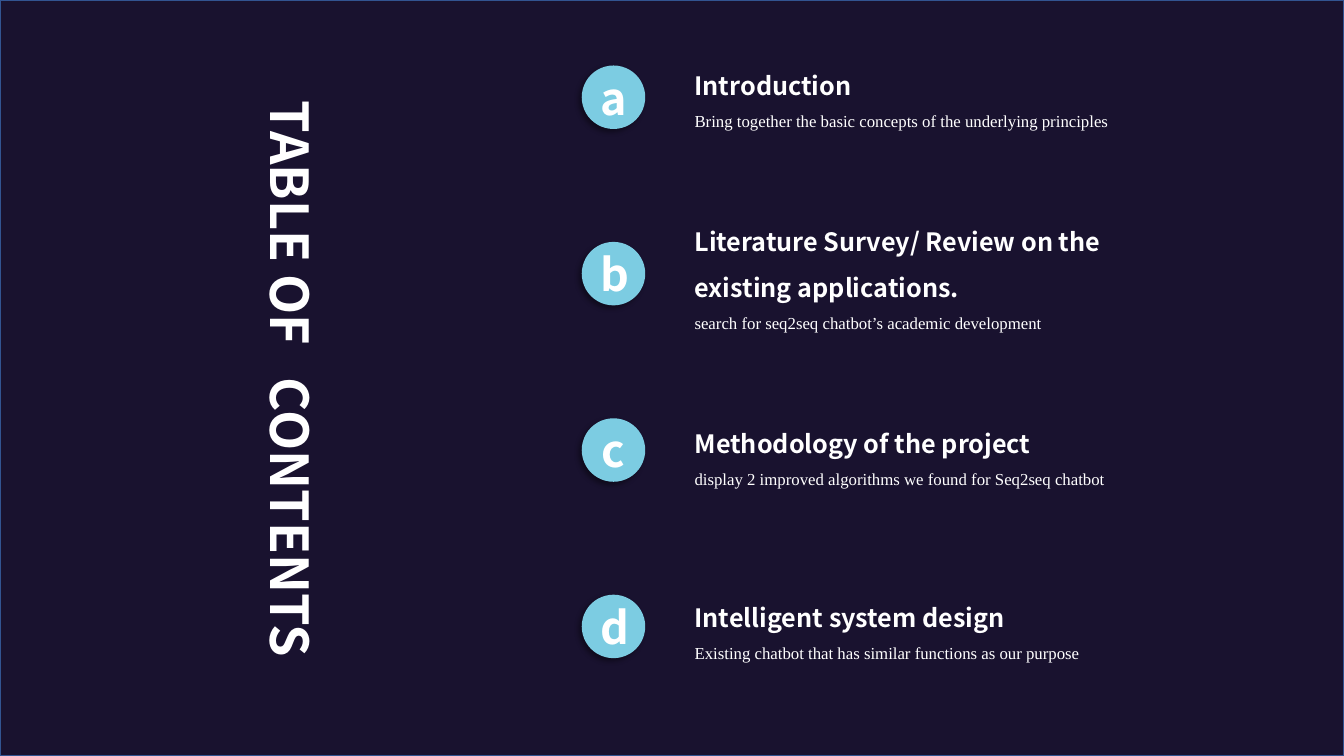
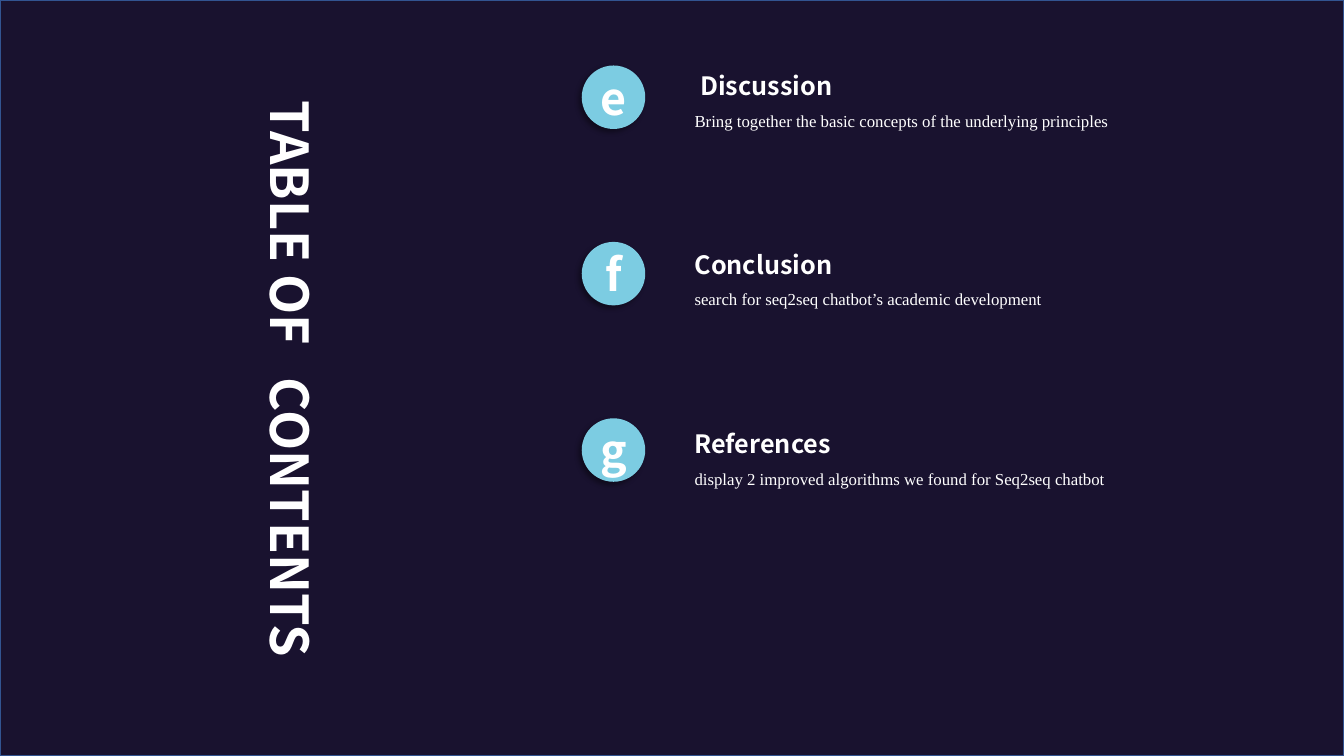
import lxml.etree
import pptx
import pptx.dml.color
import pptx.enum.shapes
import pptx.enum.text
import pptx.oxml.ns
import pptx.util

Inches, Pt = pptx.util.Inches, pptx.util.Pt
MSO_ANCHOR = pptx.enum.text.MSO_ANCHOR
PP_ALIGN = pptx.enum.text.PP_ALIGN
AUTO_SHAPE = pptx.enum.shapes.MSO_SHAPE

# Shared style
WIDTH, HEIGHT = 13.33, 7.5
NIGHT, EDGE, SKY, WHITE, BLACK = "19122F", "325491", "7CCCE2", "FFFFFF", "000000"
HEADING_FONT, DETAIL_FONT = "Noto Sans CJK SC", "Times New Roman"

# Agenda grid
BADGE_LEFT, BADGE_TOP, BADGE_SIZE, BADGE_PITCH = 5.77, 0.65, 0.63, 1.75
ENTRY_LEFT, ENTRY_WIDTH = 6.79, 5.19

# Each entry: letter, text top, text height, heading, detail
AGENDA = [
    [
        ("a", 0.5, 0.86, "Introduction",
         "Bring together the basic concepts of the underlying principles"),
        ("b", 2.05, 1.31, "Literature Survey/ Review on the existing applications.",
         "search for seq2seq chatbot’s academic development"),
        ("c", 4.05, 0.86, "Methodology of the project",
         "display 2 improved algorithms we found for Seq2seq chatbot"),
        ("d", 5.78, 0.86, "Intelligent system design",
         "Existing chatbot that has similar functions as our purpose"),
    ],
    [
        ("e", 0.5, 0.86, " Discussion",
         "Bring together the basic concepts of the underlying principles"),
        ("f", 2.27, 0.86, "Conclusion",
         "search for seq2seq chatbot’s academic development"),
        ("g", 4.05, 0.86, "References",
         "display 2 improved algorithms we found for Seq2seq chatbot"),
    ],
]


def color(hex_string):
    return pptx.dml.color.RGBColor.from_string(hex_string)


def box(left, top, width, height):
    return [Inches(value) for value in (left, top, width, height)]


def soft_shadow():
    """Effect list with a dark shadow falling to the lower left."""
    qn = pptx.oxml.ns.qn
    effects = lxml.etree.Element(qn("a:effectLst"))
    shadow = lxml.etree.SubElement(
        effects, qn("a:outerShdw"), blurRad=str(Pt(4)), dist=str(Pt(3)),
        dir=str(135 * 60000), algn="tr", rotWithShape="0")
    tint = lxml.etree.SubElement(shadow, qn("a:srgbClr"), val=BLACK)
    lxml.etree.SubElement(tint, qn("a:alpha"), val="40000")
    return effects


def style_paragraph(paragraph, size, font=HEADING_FONT, bold=True,
                    align=PP_ALIGN.LEFT, spacing=1.0):
    paragraph.alignment = align
    paragraph.line_spacing = spacing
    paragraph.space_before = Pt(0)
    for run in paragraph.runs:
        run.font.size = Pt(size)
        run.font.bold = bold
        run.font.color.rgb = color(WHITE)
        run.font.name = font


def add_backdrop(slide):
    backdrop = slide.shapes.add_shape(AUTO_SHAPE.RECTANGLE, *box(0, 0, WIDTH, HEIGHT))
    backdrop.shadow.inherit = False
    backdrop.fill.solid()
    backdrop.fill.fore_color.rgb = color(NIGHT)
    backdrop.line.color.rgb = color(EDGE)
    backdrop.line.width = Pt(1)
    # Send behind the title placeholder
    slide.shapes.element.insert(2, backdrop.element)


def style_title_word(word, text):
    frame = word.text_frame
    frame.text = text
    frame.word_wrap = False
    frame.auto_size = pptx.enum.text.MSO_AUTO_SIZE.SHAPE_TO_FIT_TEXT
    frame.vertical_anchor = MSO_ANCHOR.TOP
    style_paragraph(frame.paragraphs[0], 37.3)
    fill = word.element.find(".//" + pptx.oxml.ns.qn("a:rPr")).find(
        pptx.oxml.ns.qn("a:solidFill"))
    fill.addnext(soft_shadow())


def add_title(slide):
    title = slide.shapes.title
    title.left, title.top, title.width, title.height = box(2.47, 0.95, 0.83, 2.6)
    style_title_word(title, "TABLE OF")
    title.element.txBody.bodyPr.set("vert", "eaVert")

    contents = slide.shapes.add_textbox(*box(1.32, 4.85, 3.13, 0.73))
    contents.rotation = 90
    style_title_word(contents, "CONTENTS")


def add_badge(slide, row, letter):
    badge = slide.shapes.add_shape(
        AUTO_SHAPE.OVAL,
        *box(BADGE_LEFT, BADGE_TOP + row * BADGE_PITCH, BADGE_SIZE, BADGE_SIZE))
    badge.fill.solid()
    badge.fill.fore_color.rgb = color(SKY)
    badge.line.fill.background()
    badge.element.spPr.append(soft_shadow())
    badge.text_frame.text = letter
    badge.text_frame.vertical_anchor = MSO_ANCHOR.MIDDLE
    style_paragraph(badge.text_frame.paragraphs[0], 32, align=PP_ALIGN.CENTER)


def add_entry(slide, top, height, heading, detail):
    entry = slide.shapes.add_textbox(*box(ENTRY_LEFT, top, ENTRY_WIDTH, height))
    frame = entry.text_frame
    frame.word_wrap = True
    frame.auto_size = pptx.enum.text.MSO_AUTO_SIZE.SHAPE_TO_FIT_TEXT
    frame.text = heading
    style_paragraph(frame.paragraphs[0], 18, spacing=1.5)
    detail_line = frame.add_paragraph()
    detail_line.text = detail
    style_paragraph(detail_line, 12, DETAIL_FONT, bold=False, spacing=1.5)


def add_agenda_slide(deck, entries):
    slide = deck.slides.add_slide(deck.slide_layouts.get_by_name("Title Only"))
    add_backdrop(slide)
    add_title(slide)
    for row, (letter, *entry) in enumerate(entries):
        add_badge(slide, row, letter)
        add_entry(slide, *entry)


def main():
    deck = pptx.Presentation()
    deck.slide_width, deck.slide_height = Inches(WIDTH), Inches(HEIGHT)
    for entries in AGENDA:
        add_agenda_slide(deck, entries)
    deck.save("out.pptx")


if __name__ == "__main__":
    main()
